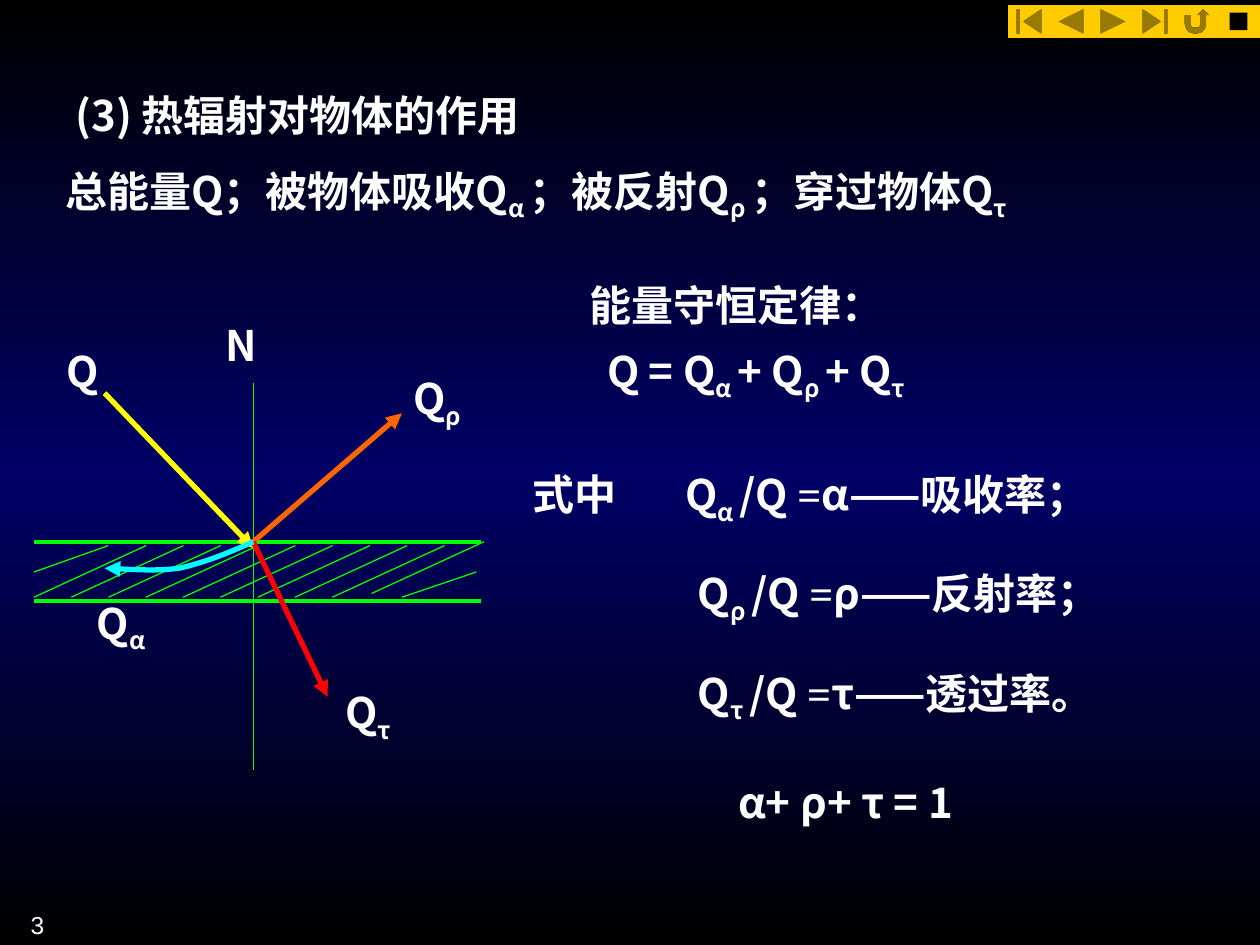
from copy import deepcopy
from pptx import Presentation
from pptx.dml.color import RGBColor
from pptx.enum.shapes import MSO_CONNECTOR, MSO_SHAPE
from pptx.enum.text import MSO_ANCHOR, MSO_AUTO_SIZE, PP_ALIGN
from pptx.oxml.ns import qn
from pptx.util import Inches, Pt
from lxml.etree import SubElement

COLORS = {
    "edge": "000000", "middle": "000066", "text": "FFFFFF", "button": "FFCC00",
    "surface": "00FF00", "incident": "FFFF00", "reflected": "FF6600",
    "transmitted": "FF0000", "absorbed": "00FFFF",
}
STYLES = {
    "han": ("Noto Sans CJK SC", 0),
    "greek": ("Noto Sans CJK KR", 0),
    "sub": ("Noto Sans CJK KR", -25000),
    "sign": ("Times New Roman", 0),
}


def write_spans(para, spans):
    for text, style in spans:
        font_name, baseline = STYLES[style]
        span = para.add_run()
        span.text = text
        span.font.size = Pt(24)
        span.font.bold = True
        span.font.name = font_name
        span.font.color.rgb = RGBColor.from_string(COLORS["text"])
        properties = span.font._element
        SubElement(properties, qn("a:ea")).set("typeface", font_name)
        if baseline:
            properties.set("baseline", str(baseline))


def draw_line(start, end, color, width, arrow=False):
    line = page.shapes.add_connector(
        MSO_CONNECTOR.STRAIGHT, *[Inches(value) for value in (*start, *end)])
    line.line.color.rgb = RGBColor.from_string(COLORS[color])
    line.line.width = Pt(width)
    if arrow:
        SubElement(line.line._get_or_add_ln(), qn("a:tailEnd")).set("type", "triangle")
    SubElement(line._element.spPr, qn("a:effectLst"))


deck = Presentation()
deck.slide_width = Inches(10)
deck.slide_height = Inches(7.5)
page = deck.slides.add_slide(deck.slide_layouts[5])

background = page.background.fill
background.gradient()
background.gradient_angle = 90
stop_list = next(page._element.iter(qn("a:gsLst")))
stop_list.insert(1, deepcopy(stop_list[0]))
for stop, position, color in zip(background.gradient_stops, (0, 0.5, 1), ("edge", "middle", "edge")):
    stop.position = position
    stop.color.rgb = RGBColor.from_string(COLORS[color])

buttons = [
    MSO_SHAPE.ACTION_BUTTON_BEGINNING, MSO_SHAPE.ACTION_BUTTON_BACK_OR_PREVIOUS,
    MSO_SHAPE.ACTION_BUTTON_FORWARD_OR_NEXT, MSO_SHAPE.ACTION_BUTTON_END,
    MSO_SHAPE.ACTION_BUTTON_RETURN, MSO_SHAPE.ACTION_BUTTON_CUSTOM,
]
button_width = 2 / len(buttons)
controls = [(kind, 8 + i * button_width, 0.04, button_width, 0.26, "button")
            for i, kind in enumerate(buttons)]
controls.append((MSO_SHAPE.RECTANGLE, 9.76, 0.1, 0.14, 0.14, "edge"))
for kind, left, top, width, height, color in controls:
    control = page.shapes.add_shape(kind, Inches(left), Inches(top), Inches(width), Inches(height))
    control.shadow.inherit = False
    control.fill.solid()
    control.fill.fore_color.rgb = RGBColor.from_string(COLORS[color])
    control.line.fill.background()

title = page.shapes.title
title.left, title.top, title.width, title.height = Inches(0.5), Inches(0.5), Inches(9.17), Inches(0.58)
title.text_frame.auto_size = MSO_AUTO_SIZE.NONE
title.text_frame.vertical_anchor = MSO_ANCHOR.TOP
heading = title.text_frame.paragraphs[0]
heading.alignment = PP_ALIGN.LEFT
heading.line_spacing = 1.4
write_spans(heading, [("(3) 热辐射对物体的作用", "han")])

for y in (4.3, 4.77):
    draw_line((0.27, y), (3.82, y), "surface", 2)
for i in range(9):
    x = 0.27 + i * 0.296
    draw_line((x + 0.89, 4.33), (x, 4.74), "surface", 0.75)
draw_line((3.84, 4.3), (2.95, 4.71), "surface", 0.75)
draw_line((3.19, 4.74), (3.78, 4.54), "surface", 0.75)
draw_line((0.86, 4.33), (0.27, 4.54), "surface", 0.75)
draw_line((2.01, 3.04), (2.01, 6.11), "surface", 0.75)
draw_line((0.83, 3.12), (2.01, 4.35), "incident", 3, arrow=True)
draw_line((2.01, 4.3), (3.19, 3.28), "reflected", 3, arrow=True)
draw_line((2.01, 4.3), (2.6, 5.53), "transmitted", 3, arrow=True)

curves = [
    [(2.01, 4.3), (1.81, 4.39), (1.61, 4.47), (1.42, 4.51)],
    [(1.42, 4.51), (1.22, 4.54), (0.92, 4.51), (0.83, 4.51)],
]
points = []
for curve in curves:
    for step in range(1, 11):
        t = step / 10
        weights = ((1 - t) ** 3, 3 * t * (1 - t) ** 2, 3 * t ** 2 * (1 - t), t ** 3)
        points.append([Inches(sum(w * point[axis] for w, point in zip(weights, curve)))
                       for axis in (0, 1)])
builder = page.shapes.build_freeform(Inches(2.01), Inches(4.3))
builder.add_line_segments(points, close=False)
absorbed = builder.convert_to_shape()
absorbed.shadow.inherit = False
absorbed.fill.background()
absorbed.line.color.rgb = RGBColor.from_string(COLORS["absorbed"])
absorbed.line.width = Pt(3)
SubElement(absorbed.line._get_or_add_ln(), qn("a:tailEnd")).set("type", "triangle")

texts = [
    (0.42, 1.08, 9.25, 0.7, 1.4, [
        ("总能量Q；被物体吸收Q", "han"), ("α ", "sub"), ("；被反射Q", "han"),
        ("ρ ", "sub"), ("；穿过物体Q", "han"), ("τ", "sub")]),
    (3.18, 2.91, 1.48, 0.75, None, [("Q", "han"), ("ρ", "sub")]),
    (2.64, 5.4, 1.48, 0.82, None, [("Q", "han"), ("τ", "sub")]),
    (0.67, 4.69, 1.48, 0.73, None, [("Q", "han"), ("α", "sub")]),
    (1.69, 2.49, 1.48, 0.82, None, [("N", "han")]),
    (0.43, 2.69, 0.89, 0.82, None, [("Q", "han")]),
    (4.58, 2.17, 3.92, 0.5, None, [("能量守恒定律：", "han")]),
    (4.72, 2.69, 3.92, 0.56, None, [
        ("Q = Q", "han"), ("α ", "sub"), ("+ Q", "han"), ("ρ ", "sub"),
        ("+ Q", "han"), ("τ", "sub")]),
    (5.76, 6.11, 2.41, 0.5, None, [("α+ ρ+ τ = 1", "greek")]),
]
for left, top, width, height, spacing, spans in texts:
    box = page.shapes.add_textbox(Inches(left), Inches(top), Inches(width), Inches(height))
    box.text_frame.word_wrap = True
    para = box.text_frame.paragraphs[0]
    para.line_spacing = spacing
    write_spans(para, spans)

ratios = page.shapes.add_textbox(Inches(4.13), Inches(3.67), Inches(5.87), Inches(2.13))
ratios.text_frame.word_wrap = True
rows = [("式中", 1.21, "α", "吸收率；"), ("", 1.31, "ρ", "反射率；"), ("", 1.31, "τ", "透过率。")]
for i, (lead, tab, symbol, name) in enumerate(rows):
    para = ratios.text_frame.add_paragraph() if i else ratios.text_frame.paragraphs[0]
    tab_list = SubElement(para._p.get_or_add_pPr(), qn("a:tabLst"))
    tab_stop = SubElement(tab_list, qn("a:tab"))
    tab_stop.set("pos", str(Inches(tab)))
    tab_stop.set("algn", "l")
    para.space_before = Pt(12 if i else 0)
    para.space_after = Pt(12)
    write_spans(para, [
        (lead + "\tQ", "han"), (symbol + " ", "sub"), ("/Q ", "han"),
        ("=", "sign"), (symbol, "greek"), ("——" + name, "han")])

number = page.shapes.add_textbox(Inches(-0.35), Inches(7.17), Inches(0.8), Inches(0.52))
number.text_frame.word_wrap = True
number.text_frame.text = "3"
para = number.text_frame.paragraphs[0]
para.alignment = PP_ALIGN.RIGHT
para.font.size = Pt(14)
para.font.name = "Arial"
para.font.color.rgb = RGBColor.from_string(COLORS["text"])

deck.save("out.pptx")
